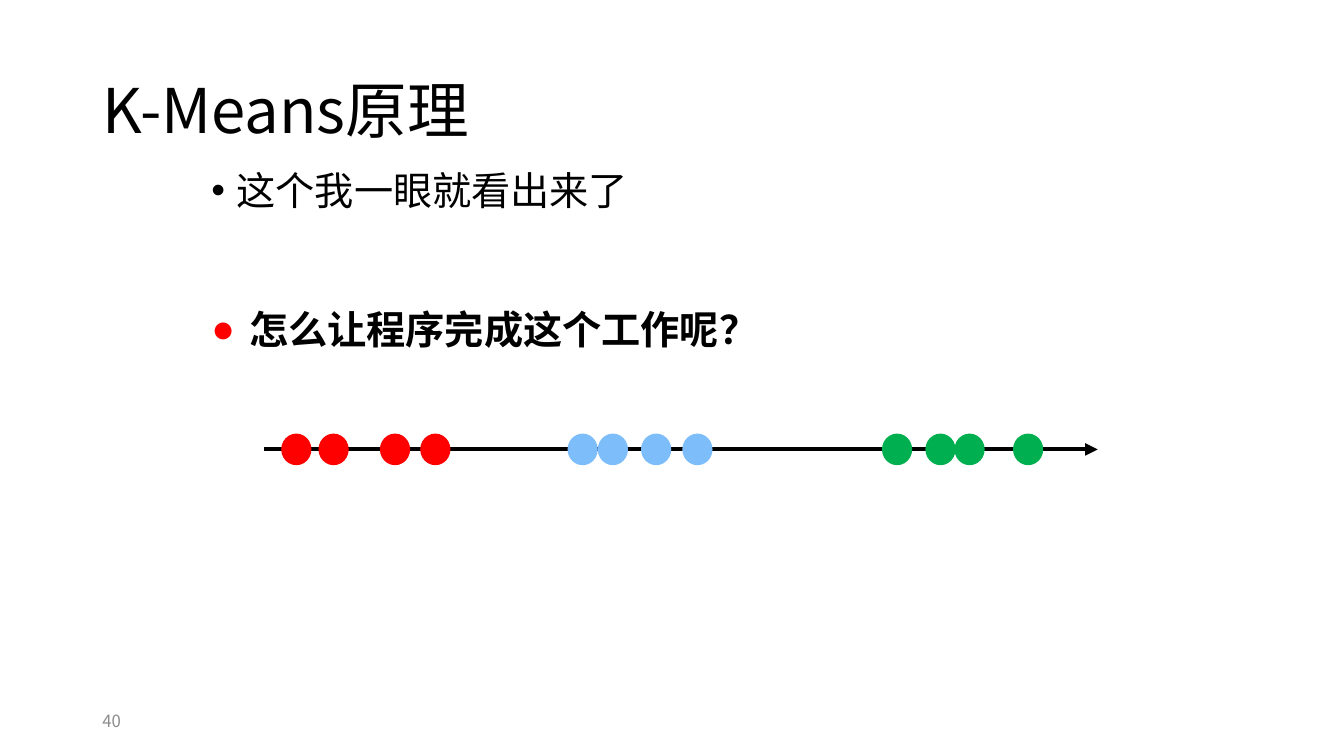
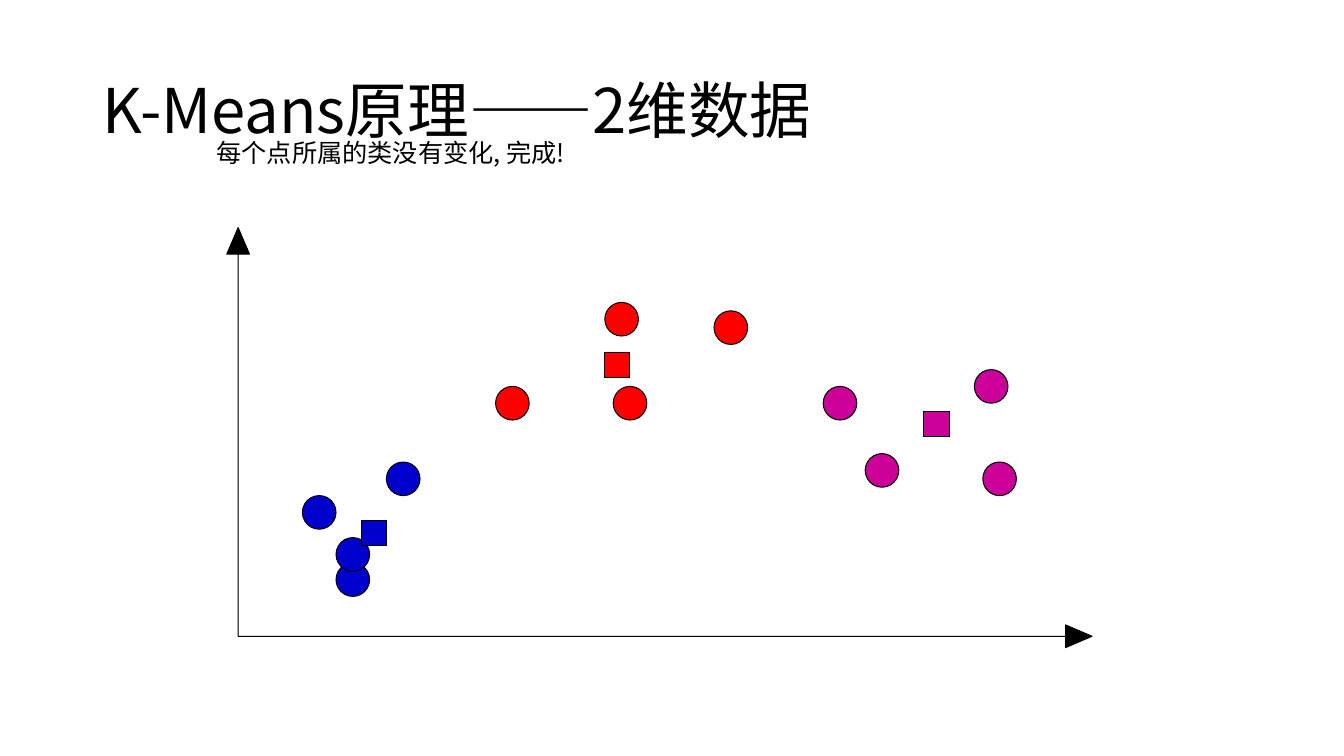
"""Build two slides that explain K-Means clustering on a line and on a plane."""
from dataclasses import dataclass

from lxml.etree import SubElement
from pptx import Presentation
from pptx.dml.color import RGBColor
from pptx.enum.shapes import MSO_CONNECTOR, MSO_SHAPE
from pptx.enum.text import MSO_ANCHOR, PP_ALIGN
from pptx.oxml.ns import qn
from pptx.util import Pt


@dataclass(frozen=True)
class Theme:
    black: str = "000000"
    grey: str = "8C8C8C"
    red: str = "FF0000"
    sky: str = "7DBDF9"
    green: str = "00B050"
    blue: str = "0000CC"
    purple: str = "CC0099"
    font: str = "Noto Sans CJK SC"
    accent_font: str = "Quicksand"
    title_size: int = 44
    body_size: int = 28
    caption_size: int = 18
    footer_size: int = 12


T = Theme()
TITLE_BOX = (66, 28.8, 828, 104.4)
FOOTER_BOX = (66, 500.4, 216, 28.8)

LINE_SLIDE = {
    "title": "K-Means原理",
    "number": "40",
    "point": "这个我一眼就看出来了",
    "question": "怎么让程序完成这个工作呢？",
    "clusters": [
        (T.red, [200.9, 227.5, 271.4, 300.2]),
        (T.sky, [405.4, 427, 457.9, 487.4]),
        (T.green, [630, 661, 681.8, 723.6]),
    ],
}
PLANE_SLIDE = {
    "title": "K-Means原理——2维数据",
    "caption": "每个点所属的类没有变化, 完成!",
    "clusters": [
        (T.blue, [(240, 402), (216, 354), (276, 330), (240, 384)], (258, 372)),
        (T.red, [(432, 216), (510, 222), (438, 276), (354, 276)], (432, 252)),
        (T.purple, [(696, 264), (702, 330), (588, 276), (618, 324)], (660, 294)),
    ],
}


def add_text(s, text, box, size, color=T.black, font=T.font, bold=False,
             anchor=MSO_ANCHOR.TOP, bullet=None, **paragraph_format):
    tf = s.shapes.add_textbox(*map(Pt, box)).text_frame
    tf.word_wrap = True
    tf.vertical_anchor = anchor
    p = tf.paragraphs[0]
    for name, value in paragraph_format.items():
        setattr(p, name, value)
    if bullet:
        char, indent, bullet_color = bullet
        pPr = p._p.get_or_add_pPr()
        pPr.set("marL", str(Pt(indent)))
        pPr.set("indent", str(-Pt(indent)))
        fill = SubElement(pPr, qn("a:buClr"))
        SubElement(fill, qn("a:srgbClr"), val=bullet_color)
        SubElement(pPr, qn("a:buFont"), typeface="Arial")
        SubElement(pPr, qn("a:buChar"), char=char)
    r = p.add_run()
    r.text = text
    for name, value in {"size": Pt(size), "name": font, "bold": bold}.items():
        setattr(r.font, name, value)
    r.font.color.rgb = RGBColor.from_string(color)
    SubElement(r._r.get_or_add_rPr(), qn("a:ea"), typeface=font)


def add_shape(s, kind, box, color, outlined=True):
    sp = s.shapes.add_shape(kind, *map(Pt, box))
    sp.shadow.inherit = False
    sp.fill.solid()
    sp.fill.fore_color.rgb = RGBColor.from_string(color)
    if outlined:
        sp.line.color.rgb = RGBColor.from_string(T.black)
        sp.line.width = Pt(0.75)
    else:
        sp.line.fill.background()
    return sp


def add_number_line(s, left, right, y):
    line = s.shapes.add_connector(
        MSO_CONNECTOR.STRAIGHT, Pt(left), Pt(y), Pt(right), Pt(y))
    line.line.color.rgb = RGBColor.from_string(T.black)
    line.line.width = Pt(3)
    SubElement(line.line._get_or_add_ln(), qn("a:tailEnd"), type="triangle")
    SubElement(line._element.spPr, qn("a:effectLst"))


def add_axes(s, box):
    axes = add_shape(s, MSO_SHAPE.LEFT_UP_ARROW, box, T.black)
    for i, value in enumerate((0, 0.027, 0.063)):
        axes.adjustments[i] = value
    axes.rotation = 90


def new_slide(prs, title):
    s = prs.slides.add_slide(prs.slide_layouts[6])
    add_text(s, title, TITLE_BOX, T.title_size,
             anchor=MSO_ANCHOR.MIDDLE, line_spacing=0.9)
    return s


def build_line_slide(prs, content):
    s = new_slide(prs, content["title"])
    add_text(s, content["point"], (144, 118.8, 648, 85), T.body_size,
             bullet=("•", 18, T.black), line_spacing=0.9)
    add_text(s, content["number"], FOOTER_BOX, T.footer_size, T.grey,
             anchor=MSO_ANCHOR.MIDDLE)
    axis_y, width, height = 321, 21.6, 22.6
    add_number_line(s, 188.6, 784.1, axis_y)
    for color, lefts in content["clusters"]:
        for left in lefts:
            add_shape(s, MSO_SHAPE.OVAL,
                      (left, axis_y - height / 2, width, height), color, False)
    add_text(s, content["question"], (144, 214.6, 648, 85), T.body_size,
             font=T.accent_font, bold=True, bullet=("●", 27, T.red),
             alignment=PP_ALIGN.JUSTIFY)


def build_plane_slide(prs, content):
    s = new_slide(prs, content["title"])
    for color, points, center in content["clusters"]:
        for point in points:
            add_shape(s, MSO_SHAPE.OVAL, (*point, 24, 24), color)
        add_shape(s, MSO_SHAPE.RECTANGLE, (*center, 18, 18), color)
    add_text(s, content["caption"], (147.6, 83.5, 440.6, 40.3),
             T.caption_size, line_spacing=1.5)
    add_axes(s, (321, 3.6, 300, 618))


def main():
    prs = Presentation()
    prs.slide_width, prs.slide_height = Pt(960), Pt(540)
    build_line_slide(prs, LINE_SLIDE)
    build_plane_slide(prs, PLANE_SLIDE)
    prs.save("out.pptx")


if __name__ == "__main__":
    main()
